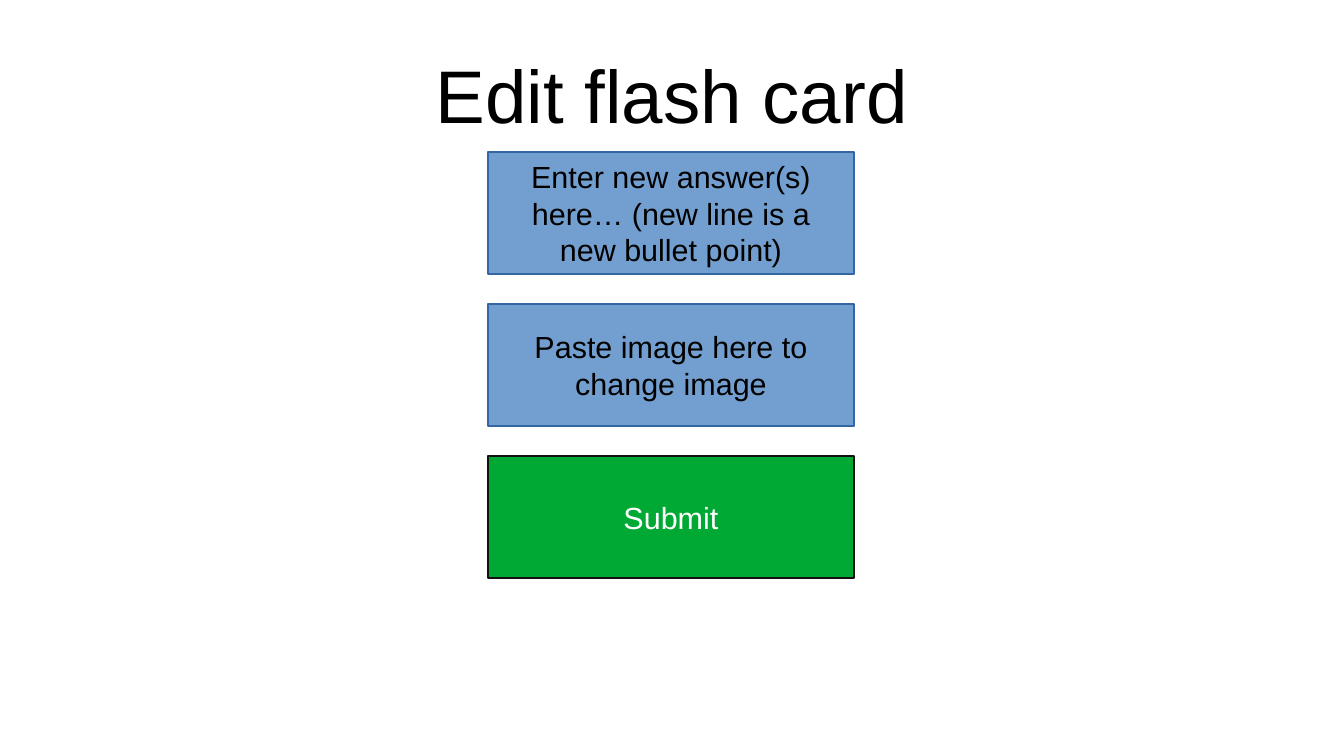
from pptx import Presentation
from pptx.dml.color import RGBColor
from pptx.enum.shapes import MSO_SHAPE
from pptx.enum.text import MSO_ANCHOR, PP_ALIGN
from pptx.util import Inches, Pt

PX = Inches(1) / 122
BLACK = RGBColor(0x00, 0x00, 0x00)
WHITE = RGBColor(0xFF, 0xFF, 0xFF)
FIELD_BLUE = RGBColor(0x72, 0x9F, 0xCF)
FIELD_BORDER = RGBColor(0x34, 0x65, 0xA4)
SUBMIT_GREEN = RGBColor(0x00, 0xA9, 0x33)
SUBMIT_BORDER = RGBColor(0x11, 0x11, 0x11)

CARD_LEFT, CARD_TOP = 488, 152
CARD_WIDTH, CARD_HEIGHT = 366, 122
CARD_STEP = 152

FIELD = {"fill": FIELD_BLUE, "border": FIELD_BORDER, "color": BLACK}
BUTTON = {"fill": SUBMIT_GREEN, "border": SUBMIT_BORDER, "color": WHITE}
CARDS = [
    ("Enter new answer(s) here… (new line is a new bullet point)", FIELD),
    ("Paste image here to change image", FIELD),
    ("Submit", BUTTON),
]


def px(*lengths):
    return [round(length * PX) for length in lengths]


def write_text(frame, wording, size, color, margins):
    side, edge = px(*margins)
    layout = {
        "word_wrap": True,
        "vertical_anchor": MSO_ANCHOR.MIDDLE,
        "margin_left": side,
        "margin_right": side,
        "margin_top": edge,
        "margin_bottom": edge,
    }
    for name, value in layout.items():
        setattr(frame, name, value)
    paragraph = frame.paragraphs[0]
    paragraph.alignment = PP_ALIGN.CENTER
    run = paragraph.add_run()
    run.text = wording
    for name, value in {"name": "Arial", "size": Pt(size)}.items():
        setattr(run.font, name, value)
    run.font.color.rgb = color


def add_heading(slide, wording):
    heading = slide.shapes.add_textbox(*px(67, 30, 1210, 127))
    write_text(heading.text_frame, wording, 44, BLACK, (0, 0))


def add_card(slide, top, wording, look):
    card = slide.shapes.add_shape(
        MSO_SHAPE.RECTANGLE, *px(CARD_LEFT, top, CARD_WIDTH, CARD_HEIGHT)
    )
    card.shadow.inherit = False
    card.fill.solid()
    card.fill.fore_color.rgb = look["fill"]
    card.line.color.rgb = look["border"]
    card.line.width = 0
    write_text(card.text_frame, wording, 18, look["color"], (12, 6))


def main():
    deck = Presentation()
    deck.slide_width, deck.slide_height = px(1344, 756)
    slide = deck.slides.add_slide(deck.slide_layouts[6])
    add_heading(slide, "Edit flash card")
    for row, (wording, look) in enumerate(CARDS):
        add_card(slide, CARD_TOP + row * CARD_STEP, wording, look)
    deck.save("out.pptx")


if __name__ == "__main__":
    main()
